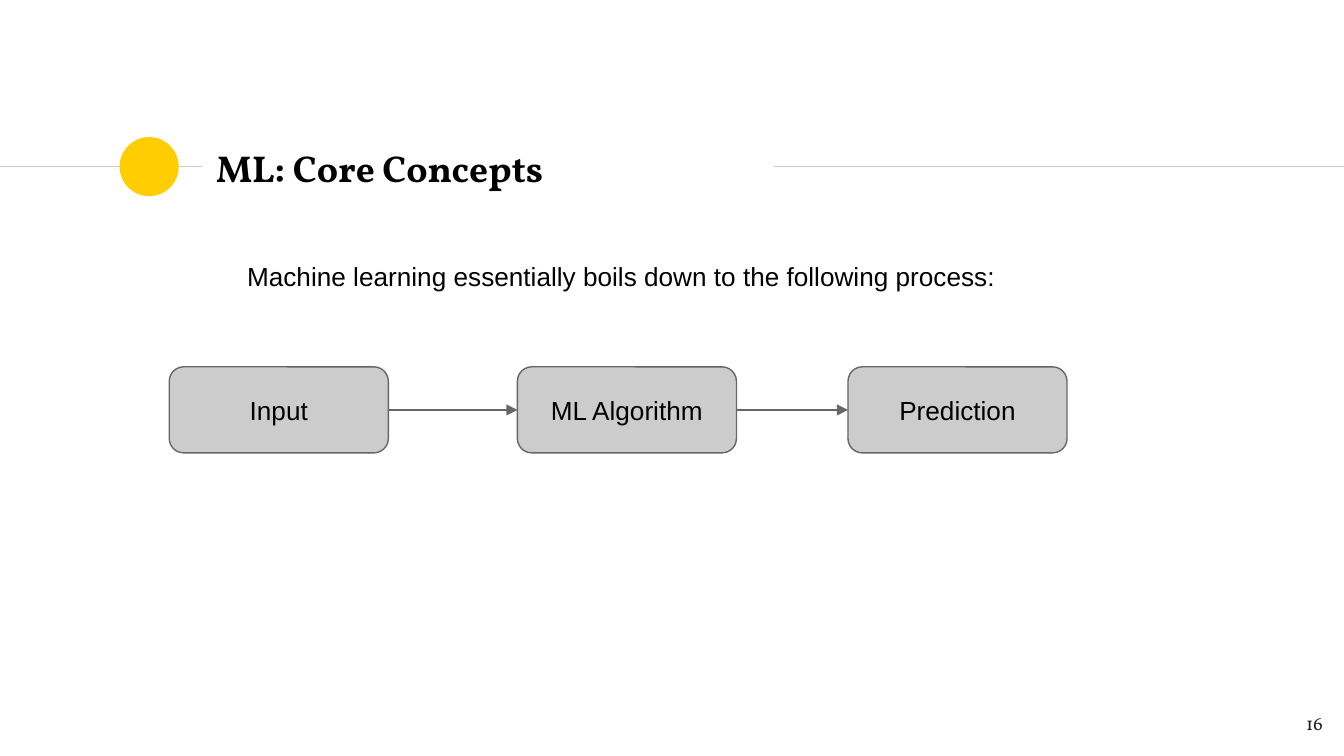
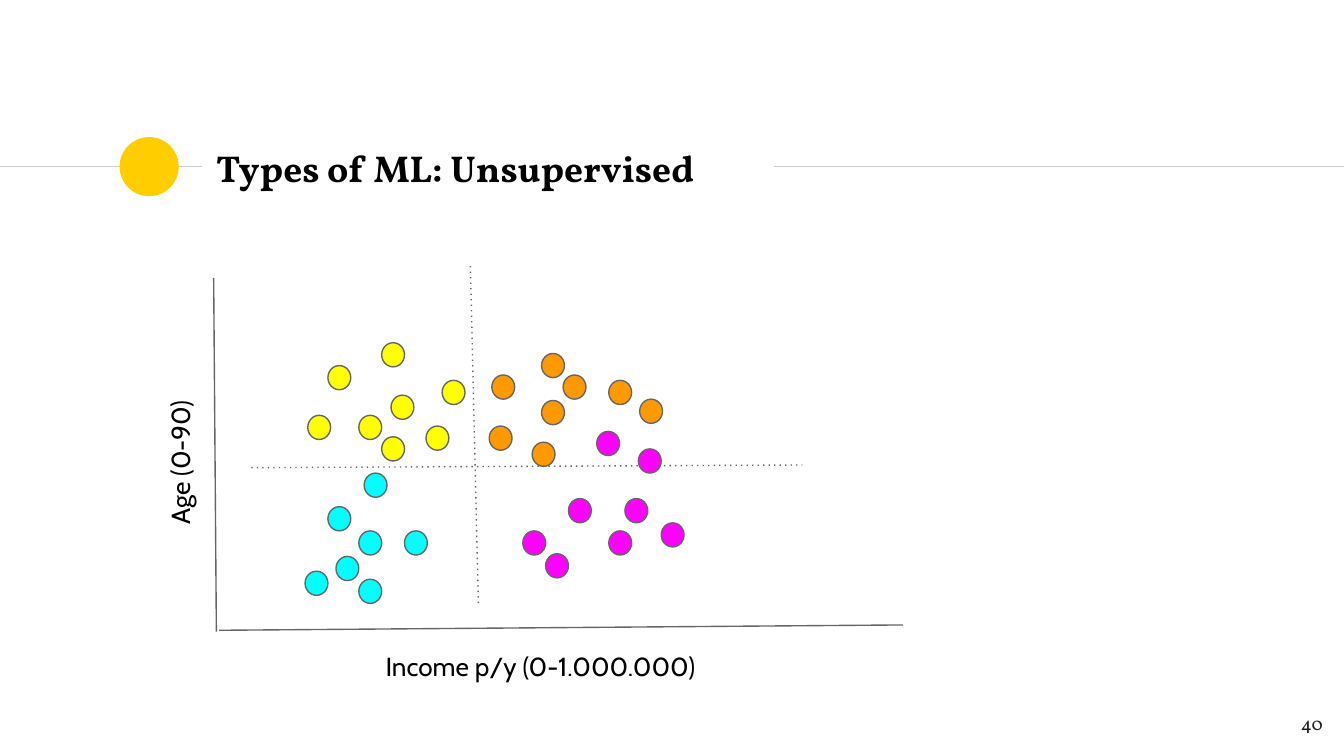
from dataclasses import dataclass

from pptx import Presentation
from pptx import util as u
from pptx.dml.color import RGBColor
from pptx.enum import shapes, text
from pptx.oxml.ns import qn
from lxml import etree

SCALE = 9144  # EMU per px, 100 px to the inch


@dataclass(frozen=True)
class Theme:
    black: str = "000000"
    page: str = "1D1D1B"
    rule: str = "CCCCCC"
    edge: str = "666666"
    box: str = "CCCCCC"
    badge: str = "FFCD00"
    cyan: str = "00FFFF"
    pink: str = "FF00FF"
    yellow: str = "FFFF00"
    orange: str = "FF9900"
    serif: str = "Vollkorn"
    sans: str = "Arial"
    label: str = "Cabin"
    head: int = 20
    body: int = 14
    small: int = 10
    stroke: float = 0.75


T = Theme()
LEFT, MID, RIGHT = text.PP_ALIGN.LEFT, text.PP_ALIGN.CENTER, text.PP_ALIGN.RIGHT
TOP, CENTER = text.MSO_ANCHOR.TOP, text.MSO_ANCHOR.MIDDLE
OVAL = shapes.MSO_SHAPE.OVAL
ROUND = shapes.MSO_SHAPE.ROUNDED_RECTANGLE

DOT_W, DOT_H = 17, 18
GROUPS = {
    T.cyan: [(250, 414), (267, 431), (267, 395), (227, 425), (301, 395),
             (271, 352), (244, 377)],
    T.pink: [(389, 395), (406, 412), (423, 371), (453, 395), (465, 371),
             (444, 321), (492, 389), (475, 334)],
    T.yellow: [(267, 309), (284, 325), (291, 294), (229, 309), (244, 272),
               (284, 255), (317, 317), (329, 283)],
    T.orange: [(403, 263), (419, 279), (403, 298), (453, 283), (396, 329),
               (476, 297), (364, 317), (366, 279)],
}


def px(*nums):
    return [u.Emu(n * SCALE) for n in nums]


def rgb(code):
    return RGBColor.from_string(code)


def write(shape, words, size=T.body, face=T.sans, color=T.black,
          bold=False, align=LEFT, anchor=TOP):
    frame = shape.text_frame
    inset, = px(10)
    form = {"word_wrap": True, "vertical_anchor": anchor}
    form.update({"margin_" + side: inset
                 for side in ("left", "top", "right", "bottom")})
    for key, val in form.items():
        setattr(frame, key, val)
    para = frame.paragraphs[0]
    para.alignment = align
    run = para.add_run()
    run.text = words
    for key, val in {"size": u.Pt(size), "name": face, "bold": bold}.items():
        setattr(run.font, key, val)
    run.font.color.rgb = rgb(color)


def label(slide, at, words, turn=0, **form):
    box = slide.shapes.add_textbox(*px(*at))
    box.rotation = turn
    write(box, words, **form)


def shape(slide, kind, at, fill, edge=None):
    item = slide.shapes.add_shape(kind, *px(*at))
    item.shadow.inherit = False
    item.fill.solid()
    item.fill.fore_color.rgb = rgb(fill)
    if edge:
        item.line.color.rgb = rgb(edge)
        item.line.width = u.Pt(T.stroke)
    else:
        item.line.fill.background()
    return item


def line(slide, ends, color=T.edge, dash=None, tip=None):
    link = slide.shapes.add_connector(shapes.MSO_CONNECTOR.STRAIGHT, *px(*ends))
    link.line.color.rgb = rgb(color)
    link.line.width = u.Pt(T.stroke)
    props = link.element.spPr
    stroke = props.find(qn("a:ln"))
    if dash:
        etree.SubElement(stroke, qn("a:prstDash"), val=dash)
    if tip:
        etree.SubElement(stroke, qn("a:tailEnd"), type=tip)
    etree.SubElement(props, qn("a:effectLst"))
    return link


def join(slide, start, end):
    """Draw an arrow from the right side of one box to the left of the next."""
    link = line(slide, (0, 0, 1, 1), tip="triangle")
    link.begin_connect(start, 3)
    link.end_connect(end, 1)


def base(deck, title, page):
    """Add a slide with the shared title band and page number."""
    slide = deck.slides.add_slide(deck.slide_layouts[6])
    line(slide, (0, 124, 150, 124), T.rule)
    shape(slide, OVAL, (89, 102, 44, 44), T.badge)
    line(slide, (576, 124, 1000, 124), T.rule)
    label(slide, (151, 101, 424, 48), title, size=T.head, face=T.serif,
          bold=True, anchor=CENTER)
    label(slide, (934, 521, 60, 43), str(page), size=T.small, face=T.serif,
          color=T.page, align=RIGHT)
    return slide


def flow(slide):
    boxes = []
    for left, words in ((126, "Input"), (385, "ML Algorithm"), (631, "Prediction")):
        box = shape(slide, ROUND, (left, 273, 163, 64), T.box, T.edge)
        box.adjustments[0] = 0.167
        write(box, words, align=MID, anchor=CENTER)
        boxes.append(box)
    for start, end in zip(boxes, boxes[1:]):
        join(slide, start, end)


def plot(slide):
    line(slide, (159, 207, 161, 470))
    line(slide, (163, 469, 672, 465))
    label(slide, (63, 256, 193, 95), "Age (0-90)", turn=270, face=T.label)
    label(slide, (277, 474, 269, 77), "Income p/y (0-1.000.000)", face=T.label)
    for color, spots in GROUPS.items():
        for left, top in spots:
            shape(slide, OVAL, (left, top, DOT_W, DOT_H), color, T.edge)
    line(slide, (350, 198, 356, 451), dash="dot")
    line(slide, (187, 348, 597, 346), dash="dot")


def main():
    deck = Presentation()
    deck.slide_width, = px(1000)
    deck.slide_height = u.Emu(deck.slide_width * 9 // 16)

    core = base(deck, "ML: Core Concepts", 16)
    label(core, (174, 184, 690, 52),
          "Machine learning essentially boils down to the following process:")
    flow(core)

    plot(base(deck, "Types of ML: Unsupervised", 40))
    deck.save("out.pptx")


if __name__ == "__main__":
    main()
